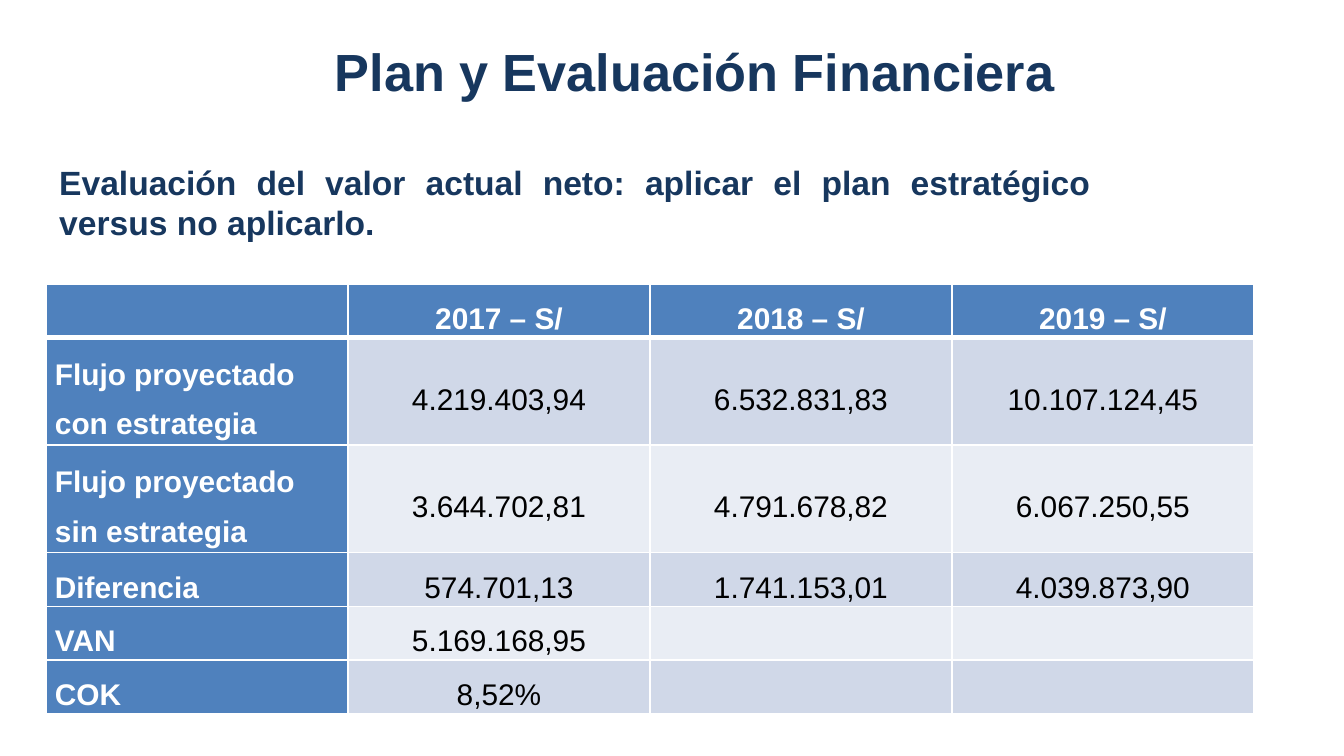
from dataclasses import dataclass

from lxml import etree
from pptx import Presentation
from pptx.dml.color import RGBColor
from pptx.enum.text import MSO_ANCHOR, MSO_AUTO_SIZE, PP_ALIGN
from pptx.oxml.ns import qn
from pptx.util import Pt

MIDDLE, TOP = MSO_ANCHOR.MIDDLE, MSO_ANCHOR.TOP
LEFT, CENTER, JUSTIFY = PP_ALIGN.LEFT, PP_ALIGN.CENTER, PP_ALIGN.JUSTIFY
NO_FIT, GROW = MSO_AUTO_SIZE.NONE, MSO_AUTO_SIZE.SHAPE_TO_FIT_TEXT
EMU_PER_PIXEL = 914400 / 134.4


@dataclass(frozen=True)
class Theme:
    font: str = "Arial"
    navy: str = "17375E"
    blue: str = "4F81BD"
    white: str = "FFFFFF"
    black: str = "000000"
    bands: tuple[str, str] = ("D0D8E8", "E9EDF4")
    title_size: int = 28
    subtitle_size: int = 18
    table_size: int = 16


@dataclass(frozen=True)
class Heading:
    text: str
    left: int
    top: int
    width: int
    height: int
    size: int
    align: PP_ALIGN
    anchor: MSO_ANCHOR
    fit: MSO_AUTO_SIZE


@dataclass(frozen=True)
class FlowRow:
    label: str
    values: tuple[str, str, str]
    height: int


THEME = Theme()
HEADINGS = (
    Heading("Plan y Evaluación Financiera", 282, 8, 825, 126,
            THEME.title_size, CENTER, MIDDLE, NO_FIT),
    Heading("Evaluación del valor actual neto: aplicar el plan estratégico "
            "versus no aplicarlo.", 46, 155, 1058, 95,
            THEME.subtitle_size, JUSTIFY, TOP, GROW),
)
SINGLE, DOUBLE = 53, 107
FLOW_ROWS = (
    FlowRow("", ("2017 – S/", "2018 – S/", "2019 – S/"), SINGLE),
    FlowRow("Flujo proyectado con estrategia",
            ("4.219.403,94", "6.532.831,83", "10.107.124,45"), DOUBLE),
    FlowRow("Flujo proyectado sin estrategia",
            ("3.644.702,81", "4.791.678,82", "6.067.250,55"), DOUBLE),
    FlowRow("Diferencia", ("574.701,13", "1.741.153,01", "4.039.873,90"), SINGLE),
    FlowRow("VAN", ("5.169.168,95", "", ""), SINGLE),
    FlowRow("COK", ("8,52%", "", ""), SINGLE),
)
TABLE_LEFT, TABLE_TOP, COLUMN_WIDTH, COLUMN_COUNT = 46, 284, 302, 4
CELL_MARGIN = 9


def px(pixels: int) -> int:
    return round(pixels * EMU_PER_PIXEL)


def style_paragraph(para, size: int, color: str, bold: bool, align) -> None:
    para.alignment = align
    para.font.name = THEME.font
    para.font.size = Pt(size)
    para.font.bold = bold
    para.font.color.rgb = RGBColor.from_string(color)


def add_heading(page, heading: Heading) -> None:
    box = page.shapes.add_textbox(px(heading.left), px(heading.top),
                                  px(heading.width), px(heading.height))
    frame = box.text_frame
    frame.word_wrap = True
    frame.auto_size = heading.fit
    frame.vertical_anchor = heading.anchor
    frame.text = heading.text
    style_paragraph(frame.paragraphs[0], heading.size, THEME.navy, True, heading.align)


def set_borders(cell, bottom_width: int) -> None:
    properties = cell._tc.get_or_add_tcPr()
    for side, width in (("L", 1), ("R", 1), ("T", 1), ("B", bottom_width)):
        line = etree.SubElement(properties, qn(f"a:ln{side}"), w=str(Pt(width)))
        fill = etree.SubElement(line, qn("a:solidFill"))
        etree.SubElement(fill, qn("a:srgbClr"), val=THEME.white)


def fill_cell(cell, text: str, row: int, column: int) -> None:
    heading = row == 0 or column == 0
    set_borders(cell, 3 if row == 0 else 1)
    cell.fill.solid()
    cell.fill.fore_color.rgb = RGBColor.from_string(
        THEME.blue if heading else THEME.bands[(row - 1) % 2])
    cell.margin_left = cell.margin_right = px(CELL_MARGIN)
    cell.margin_top = cell.margin_bottom = 0
    cell.vertical_anchor = MIDDLE
    if text:
        cell.text = text
        para = cell.text_frame.paragraphs[0]
        para.line_spacing = 1.5
        style_paragraph(para, THEME.table_size, THEME.white if heading else THEME.black,
                        heading, CENTER if column else LEFT)


def add_flow_table(page) -> None:
    total_height = sum(row.height for row in FLOW_ROWS)
    table = page.shapes.add_table(
        len(FLOW_ROWS), COLUMN_COUNT, px(TABLE_LEFT), px(TABLE_TOP),
        px(COLUMN_WIDTH * COLUMN_COUNT), px(total_height)).table
    for column in table.columns:
        column.width = px(COLUMN_WIDTH)
    for row, flow in enumerate(FLOW_ROWS):
        table.rows[row].height = px(flow.height)
        for column, text in enumerate((flow.label, *flow.values)):
            fill_cell(table.cell(row, column), text, row, column)


deck = Presentation()
deck.slide_width, deck.slide_height = px(1344), px(756)
page = deck.slides.add_slide(deck.slide_layouts[6])
for heading in HEADINGS:
    add_heading(page, heading)
add_flow_table(page)
deck.save("out.pptx")
